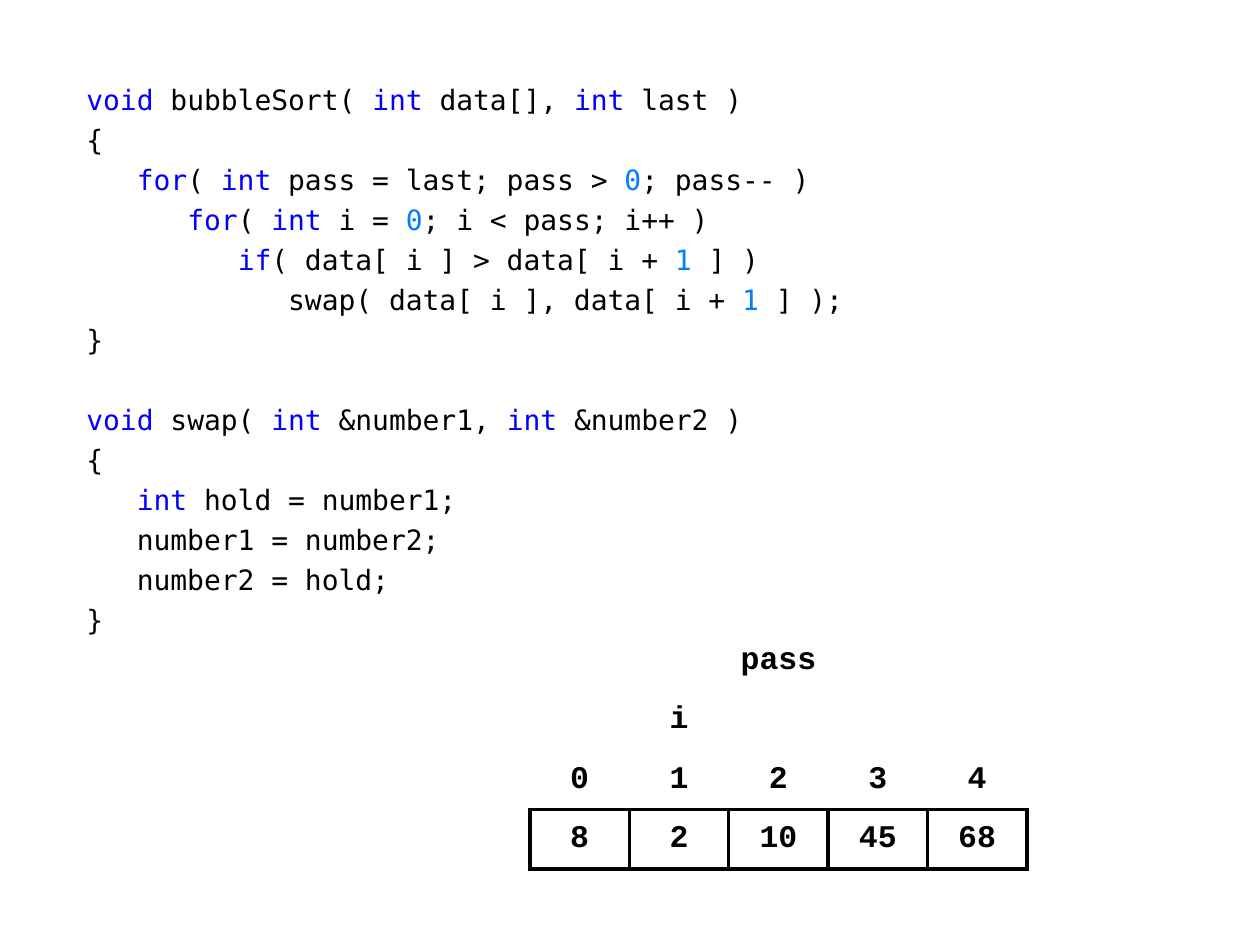
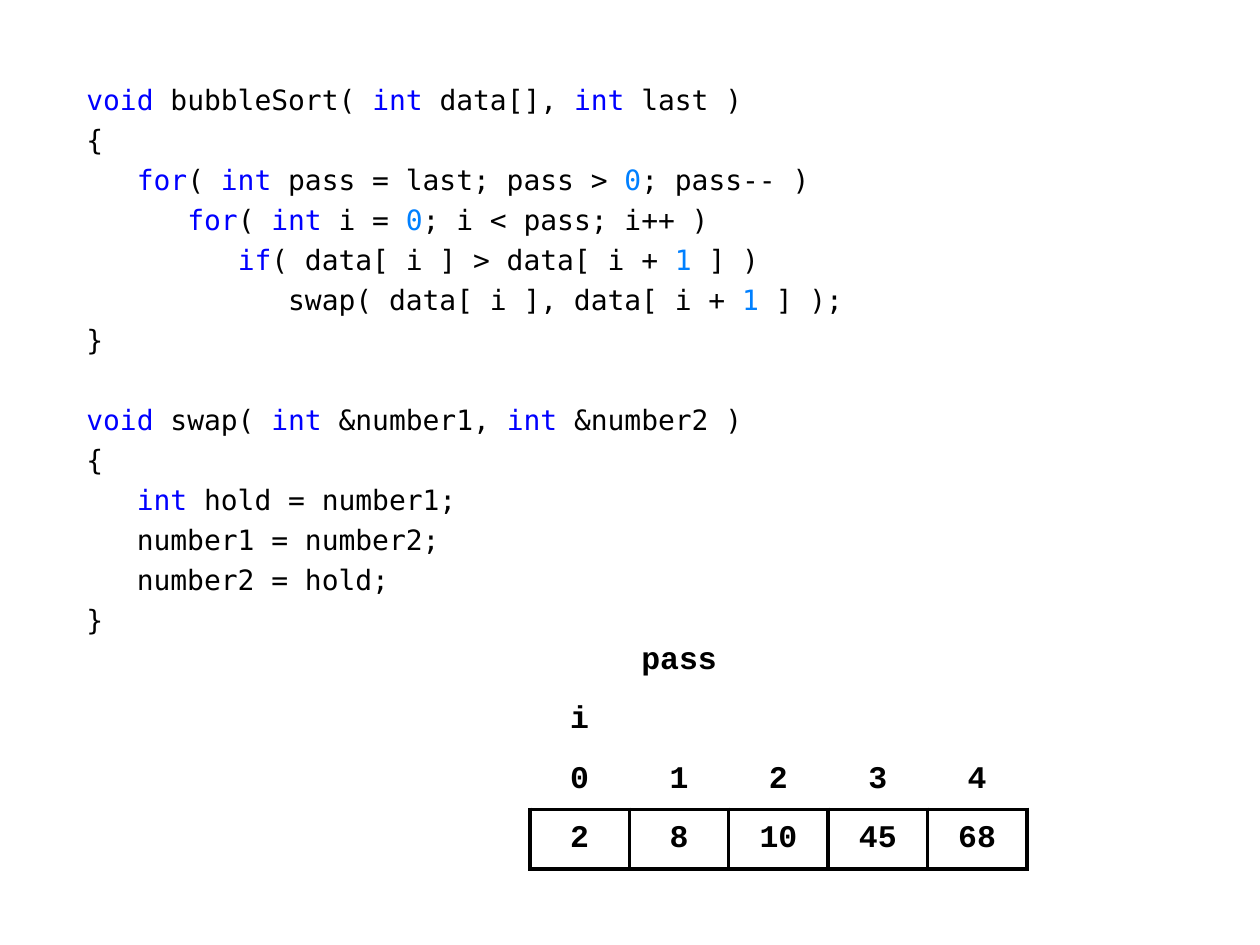
from itertools import groupby

from lxml import etree
from pptx import Presentation
from pptx.dml.color import RGBColor
from pptx.enum.text import MSO_ANCHOR, PP_ALIGN
from pptx.oxml.ns import qn
from pptx.util import Pt

MIDDLE, CENTER = MSO_ANCHOR.MIDDLE, PP_ALIGN.CENTER
EMU_PER_PX = 914400 / 126
BLACK, WHITE, KEYWORD, NUMBER = "000000", "FFFFFF", "0000FF", "0080FF"
PLAIN_STYLE = "{2D5ABB26-0587-4C30-8999-92F81FD0307C}"
KEYWORDS = {"void", "int", "for", "if"}
CODE_FONT = {"name": "DejaVu Sans Mono", "size": Pt(16), "bold": False}
CELL_FONT = {"name": "Courier New", "size": Pt(18), "bold": True}
LINE_GAP, FUNCTION_GAP = Pt(3.73), Pt(26.1)

FUNCTIONS = ["""\
void bubbleSort( int data[], int last )
{
   for( int pass = last; pass > 0; pass-- )
      for( int i = 0; i < pass; i++ )
         if( data[ i ] > data[ i + 1 ] )
            swap( data[ i ], data[ i + 1 ] );
}""", """\
void swap( int &number1, int &number2 )
{
   int hold = number1;
   number1 = number2;
   number2 = hold;
}"""]

# State of the sort on each slide: pass, i, data
STATES = [(2, 1, [8, 2, 10, 45, 68]),
          (1, 0, [2, 8, 10, 45, 68])]


def px(n):
    return round(n * EMU_PER_PX)


def add_run(p, text, font, color):
    r = p.add_run()
    r.text = text
    for name, value in font.items():
        setattr(r.font, name, value)
    r.font.color.rgb = RGBColor.from_string(color)


prs = Presentation()
prs.slide_width, prs.slide_height = px(1260), px(945)

for pass_at, i_at, data in STATES:
    s = prs.slides.add_slide(prs.slide_layouts[6])

    # Code listing, coloured by token
    tf = s.shapes.add_textbox(px(74), px(76), px(1112), px(576)).text_frame
    tf.word_wrap = True
    p = tf.paragraphs[0]
    for f, function in enumerate(FUNCTIONS):
        for n, line in enumerate(function.split("\n")):
            if f or n:
                p = tf.add_paragraph()
                p.space_before = LINE_GAP if n else FUNCTION_GAP
            for _, chars in groupby(line, str.isalnum):
                token = "".join(chars)
                color = (KEYWORD if token in KEYWORDS
                         else NUMBER if token.isdigit() else BLACK)
                add_run(p, token, CODE_FONT, color)

    # Array with its indices and the two loop variables above
    size = len(data)
    rows = [["pass" if c == pass_at else "" for c in range(size)],
            ["i" if c == i_at else "" for c in range(size)],
            range(size), data]
    table = s.shapes.add_table(len(rows), size, px(530), px(631),
                               px(497), px(238)).table
    table.first_row = table.horz_banding = False
    table._tbl.tblPr.find(qn("a:tableStyleId")).text = PLAIN_STYLE
    edges = {2: ["lnB"], 3: ["lnL", "lnR", "lnT", "lnB"]}
    for y, row in enumerate(rows):
        for x, value in enumerate(row):
            cell = table.cell(y, x)
            cell.vertical_anchor = MIDDLE
            cell.margin_left = cell.margin_right = px(5)
            cell.margin_top = cell.margin_bottom = px(6)
            for edge in edges.get(y, []):
                ln = etree.SubElement(cell._tc.get_or_add_tcPr(),
                                      qn("a:" + edge), w=str(Pt(2.25)))
                fill = etree.SubElement(ln, qn("a:solidFill"))
                etree.SubElement(fill, qn("a:srgbClr"), val=BLACK)
            cell.fill.solid()
            cell.fill.fore_color.rgb = RGBColor.from_string(WHITE)
            if value != "":
                p = cell.text_frame.paragraphs[0]
                p.alignment = CENTER
                add_run(p, str(value), CELL_FONT, BLACK)

prs.save("out.pptx")
